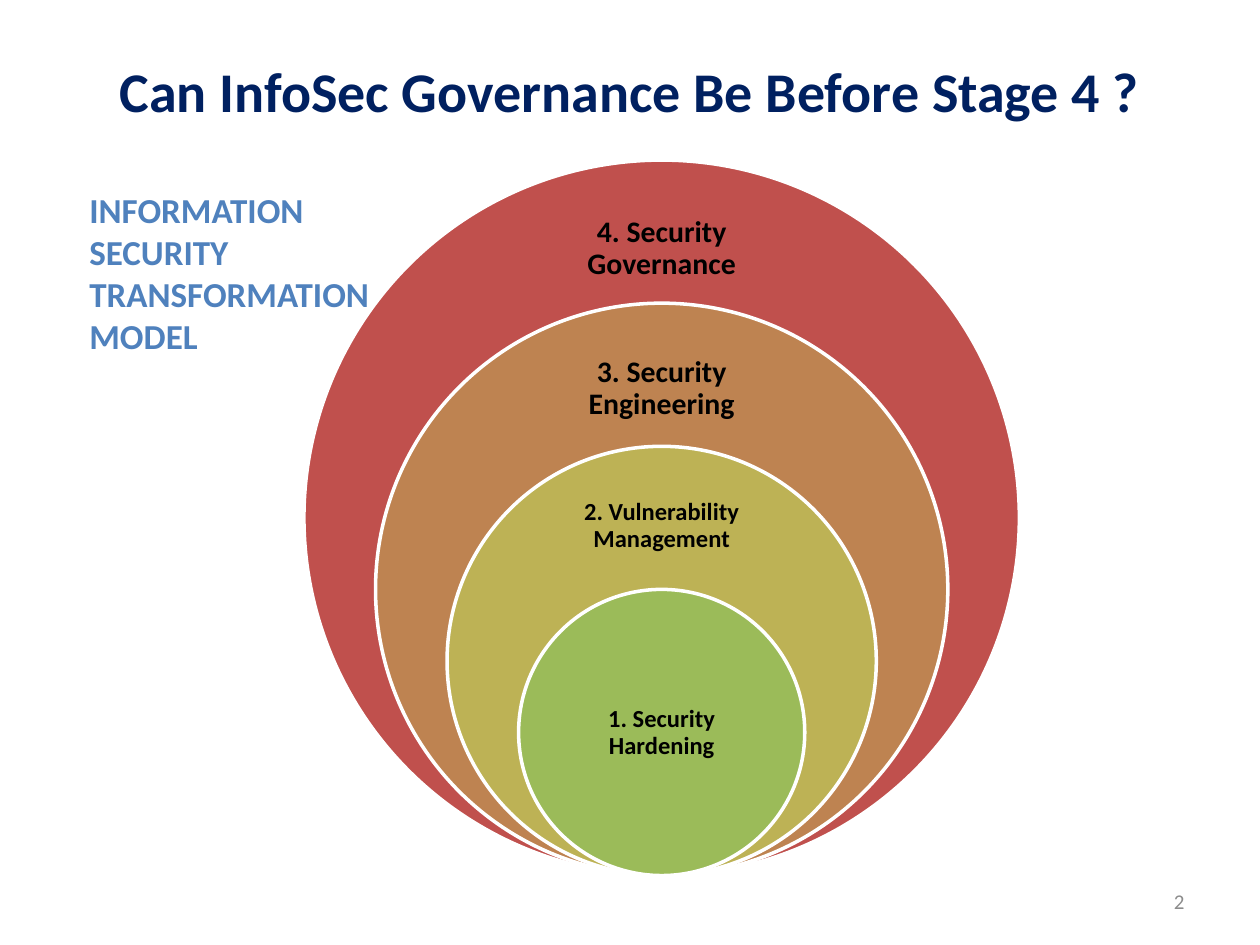
from pptx import Presentation
from pptx.dml.color import RGBColor
from pptx.enum import shapes, text
from pptx.util import Pt

COLORS = {
    "title": "002060",
    "model": "4F81BD",
    "label": "000000",
    "number": "8C8C8C",
    "outline": "FFFFFF",
}
# label, circle colour, text size, label inset, label top below circle top, label height
STAGES = [
    ("4. Security Governance", "C0504D", 17, 9.4, 20, 61.2),
    ("3. Security Engineering", "BE8351", 17, 9.4, 19.4, 59),
    ("2. Vulnerability Management", "BDB255", 14, 7.9, 18, 55.4),
    ("1. Security Hardening", "9BBB59", 14, 7.9, 41, 82),
]
LABEL_WIDTH = 114.5


def rgb(name):
    return RGBColor.from_string(COLORS.get(name, name))


def add_text(page, area, lines, size, color, bold=True, align=text.PP_ALIGN.CENTER,
             anchor=text.MSO_ANCHOR.MIDDLE, inset=None, spacing=None, wrap=True):
    """Place a text box; area is left, top, width, height in points."""
    box = page.shapes.add_textbox(*map(Pt, area))
    frame = box.text_frame
    frame.text = "\n".join(lines)
    frame.word_wrap = wrap
    frame.vertical_anchor = anchor
    if inset is not None:
        frame.margin_left = frame.margin_right = Pt(inset)
        frame.margin_top = frame.margin_bottom = Pt(inset)
    for para in frame.paragraphs:
        para.alignment = align
        if spacing:
            para.line_spacing = spacing
        for span in para.runs:
            span.font.name = "Calibri"
            span.font.size = Pt(size)
            span.font.bold = bold
            span.font.color.rgb = rgb(color)
    return box


def add_nested_circles(page, left, top, diameter):
    """Stack circles that share their lowest point, each a fifth of the largest smaller."""
    center, bottom = left + diameter / 2, top + diameter
    for step, (label, fill, size, inset, drop, height) in enumerate(STAGES):
        width = diameter * (5 - step) / 5
        circle_top = bottom - width
        circle = page.shapes.add_shape(
            shapes.MSO_SHAPE.OVAL,
            *map(Pt, (center - width / 2, circle_top, width, width)))
        circle.shadow.inherit = False
        circle.fill.solid()
        circle.fill.fore_color.rgb = rgb(fill)
        circle.line.color.rgb = rgb("outline")
        circle.line.width = Pt(2)
        add_text(page, (center - LABEL_WIDTH / 2, circle_top + drop, LABEL_WIDTH, height),
                 [label], size, "label", inset=inset, spacing=0.9)


def add_model_name(page, left, top, width, height):
    box = add_text(page, (left, top, width, height),
                   ["INFORMATION", "SECURITY", "TRANSFORMATION", "MODEL"], 20, "model",
                   align=text.PP_ALIGN.LEFT, anchor=text.MSO_ANCHOR.TOP, wrap=False)
    box.text_frame.auto_size = text.MSO_AUTO_SIZE.SHAPE_TO_FIT_TEXT


def main():
    deck = Presentation()
    deck.slide_width, deck.slide_height = Pt(720), Pt(540)
    page = deck.slides.add_slide(deck.slide_layouts[6])
    add_text(page, (516, 500.5, 168, 28.75), ["2"], 12, "number", bold=False,
             align=text.PP_ALIGN.RIGHT)
    add_text(page, (36, 16.5, 648, 70.5), ["Can InfoSec Governance Be Before Stage 4 ?"],
             32, "title")
    add_nested_circles(page, 173.7, 91.5, 408.8)
    add_model_name(page, 44, 104.4, 175.7, 128)
    deck.save("out.pptx")


if __name__ == "__main__":
    main()
